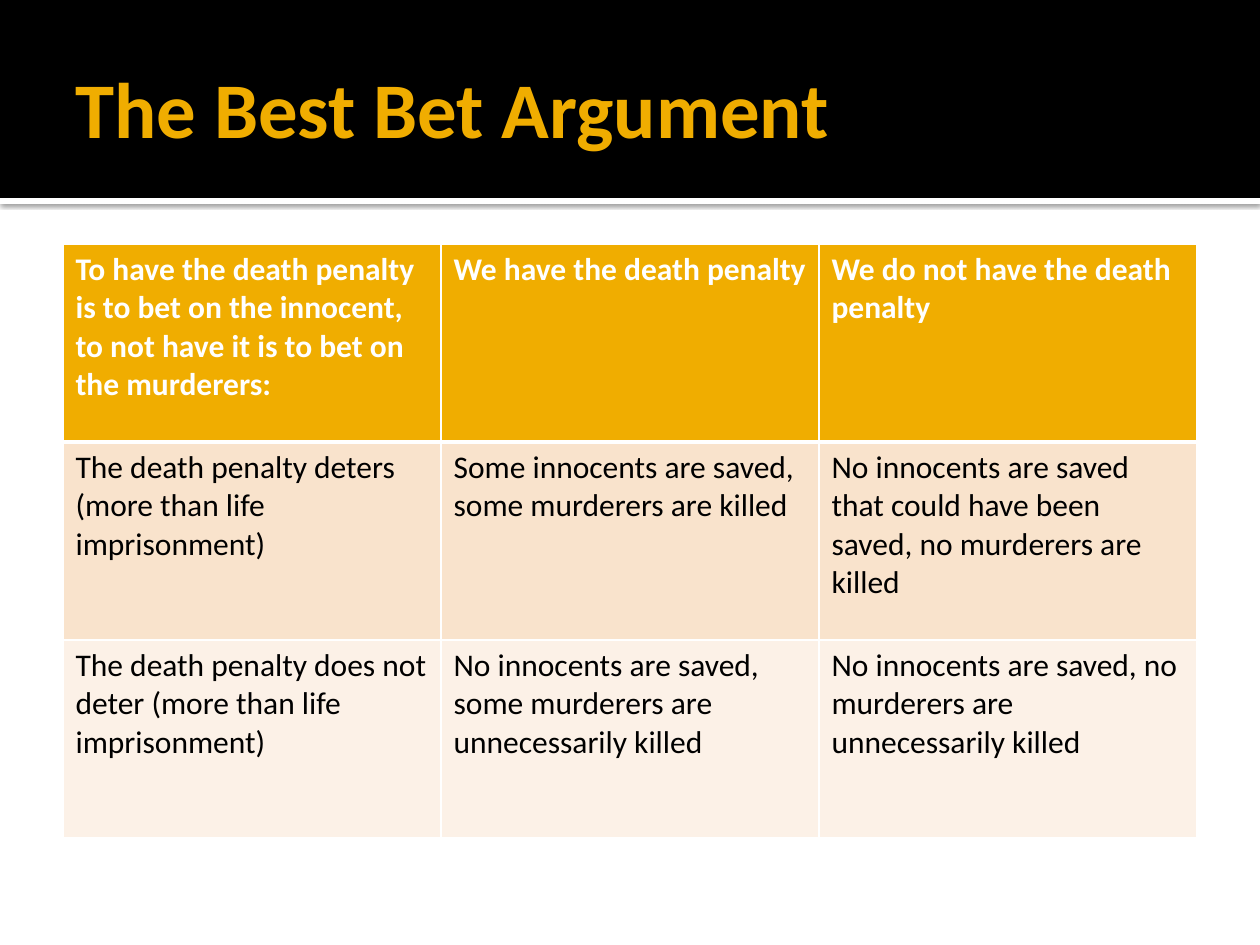
from dataclasses import dataclass

from lxml.etree import SubElement
from pptx import Presentation
from pptx.dml.color import RGBColor
from pptx.enum.shapes import MSO_SHAPE as Shape
from pptx.enum.text import MSO_ANCHOR as Anchor, PP_ALIGN as Align
from pptx.oxml.ns import qn
from pptx.util import Emu, Pt

PX_PER_INCH = 126
COLORS = {
    "black": "000000",
    "white": "FFFFFF",
    "gold": "F0AD00",
    "peach": "F9E3CC",
    "cream": "FCF1E7",
}
FONT = "Calibri"


@dataclass(frozen=True)
class Band:
    top: int
    height: int
    color: str
    shadow: bool = False


@dataclass(frozen=True)
class RowStyle:
    fill: str
    text: str
    bold: bool
    top_line: int
    bottom_line: int


BANDS = [Band(198, 6, "white", shadow=True), Band(0, 198, "black")]
ROW_STYLES = [
    RowStyle("gold", "white", True, 1, 3),
    RowStyle("peach", "black", False, 3, 1),
    RowStyle("cream", "black", False, 1, 1),
]
OUTCOMES = [
    [
        "To have the death penalty is to bet on the innocent, "
        "to not have it is to bet on the murderers:",
        "We have the death penalty",
        "We do not have the death penalty",
    ],
    [
        "The death penalty deters (more than life imprisonment)",
        "Some innocents are saved, some murderers are killed",
        "No innocents are saved that could have been saved, no murderers are killed",
    ],
    [
        "The death penalty does not deter (more than life imprisonment)",
        "No innocents are saved, some murderers are unnecessarily killed",
        "No innocents are saved, no murderers are unnecessarily killed",
    ],
]


def px(length: int) -> Emu:
    return Emu(round(length * 914400 / PX_PER_INCH))


def rgb(name: str) -> RGBColor:
    return RGBColor.from_string(COLORS[name])


def write(frame, text: str, *, size: int, color: str, bold: bool) -> None:
    para = frame.paragraphs[0]
    para.alignment = Align.LEFT
    span = para.add_run()
    span.text = text
    span.font.name = FONT
    span.font.size = Pt(size)
    span.font.bold = bold
    span.font.color.rgb = rgb(color)


def add_solid(parent, color: str):
    fill = SubElement(parent, qn("a:solidFill"))
    return SubElement(fill, qn("a:srgbClr"), val=COLORS[color])


def draw_band(page, band: Band, width: int) -> None:
    box = page.shapes.add_shape(
        Shape.RECTANGLE, 0, px(band.top), px(width), px(band.height)
    )
    box.fill.solid()
    box.fill.fore_color.rgb = rgb(band.color)
    box.line.fill.background()
    box.shadow.inherit = False
    if band.shadow:
        effects = box._element.spPr.find(qn("a:effectLst"))
        shadow = SubElement(
            effects, qn("a:outerShdw"), blurRad=str(Pt(2.5)), dist=str(Pt(0.8)),
            dir="5400000", algn="tl", rotWithShape="0",
        )
        tint = SubElement(shadow, qn("a:srgbClr"), val=COLORS["black"])
        SubElement(tint, qn("a:alpha"), val="60000")


def draw_title(page, text: str) -> None:
    title = page.shapes.title
    title.left, title.top, title.width, title.height = map(px, (63, 21, 1134, 173))
    frame = title.text_frame
    frame.word_wrap = True
    frame.vertical_anchor = Anchor.MIDDLE
    frame.margin_left = Pt(7.2)
    frame.margin_right = frame.margin_top = frame.margin_bottom = Pt(3.6)
    write(frame, text, size=45, color="gold", bold=True)
    page.shapes._spTree.append(title._element)  # bring in front of the bands


def style_cell(cell, style: RowStyle) -> None:
    """Set white borders, then the fill, in the order the schema asks for."""
    properties = cell._tc.get_or_add_tcPr()
    widths = {"lnL": 1, "lnR": 1, "lnT": style.top_line, "lnB": style.bottom_line}
    for side, points in widths.items():
        line = SubElement(properties, qn(f"a:{side}"), w=str(Pt(points)))
        add_solid(line, "white")
    cell.fill.solid()
    cell.fill.fore_color.rgb = rgb(style.fill)


def draw_table(page) -> None:
    table = page.shapes.add_table(
        len(OUTCOMES), len(OUTCOMES[0]), px(63), px(244), px(1134), px(594)
    ).table
    for row, texts, style in zip(table.rows, OUTCOMES, ROW_STYLES):
        for cell, text in zip(row.cells, texts):
            style_cell(cell, style)
            write(cell.text_frame, text, size=18, color=style.text, bold=style.bold)


def main() -> None:
    deck = Presentation()
    deck.slide_width, deck.slide_height = px(1260), px(945)
    page = deck.slides.add_slide(deck.slide_layouts[5])
    for band in BANDS:
        draw_band(page, band, 1260)
    draw_title(page, "The Best Bet Argument")
    draw_table(page)
    deck.save("out.pptx")


if __name__ == "__main__":
    main()
